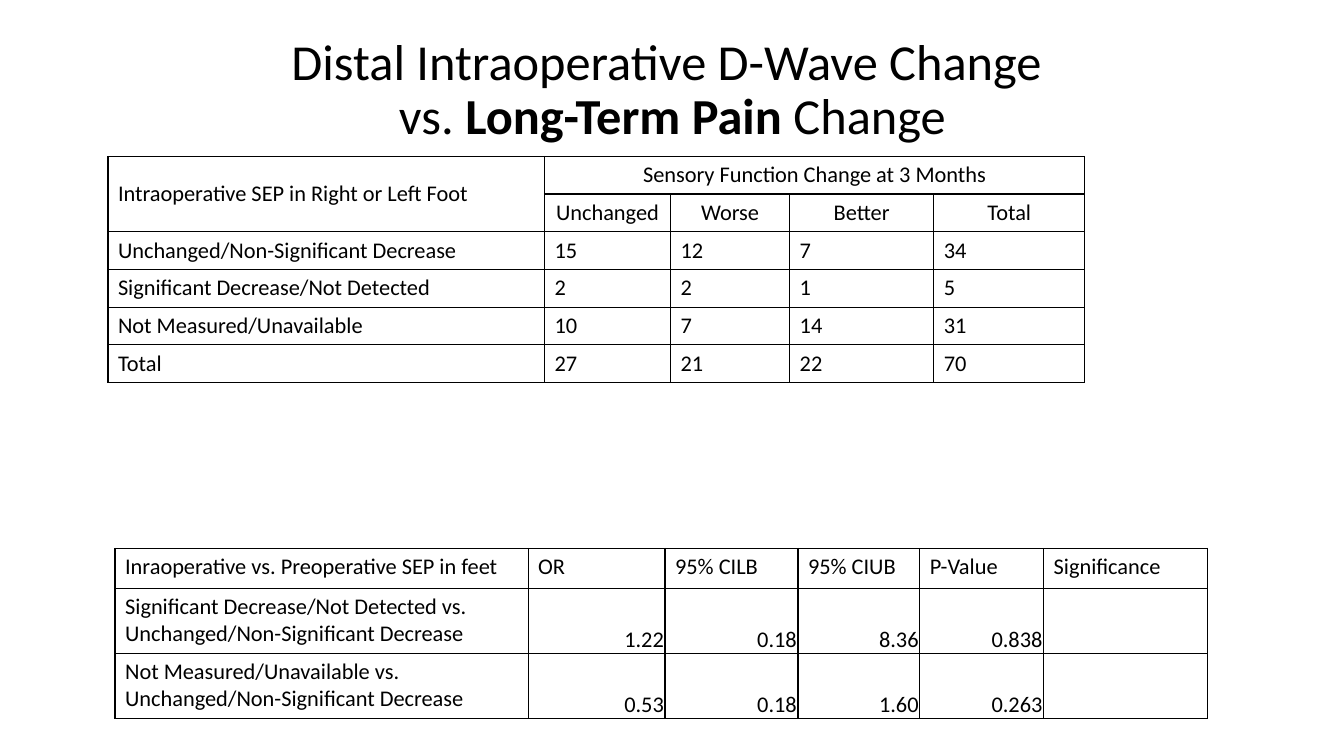
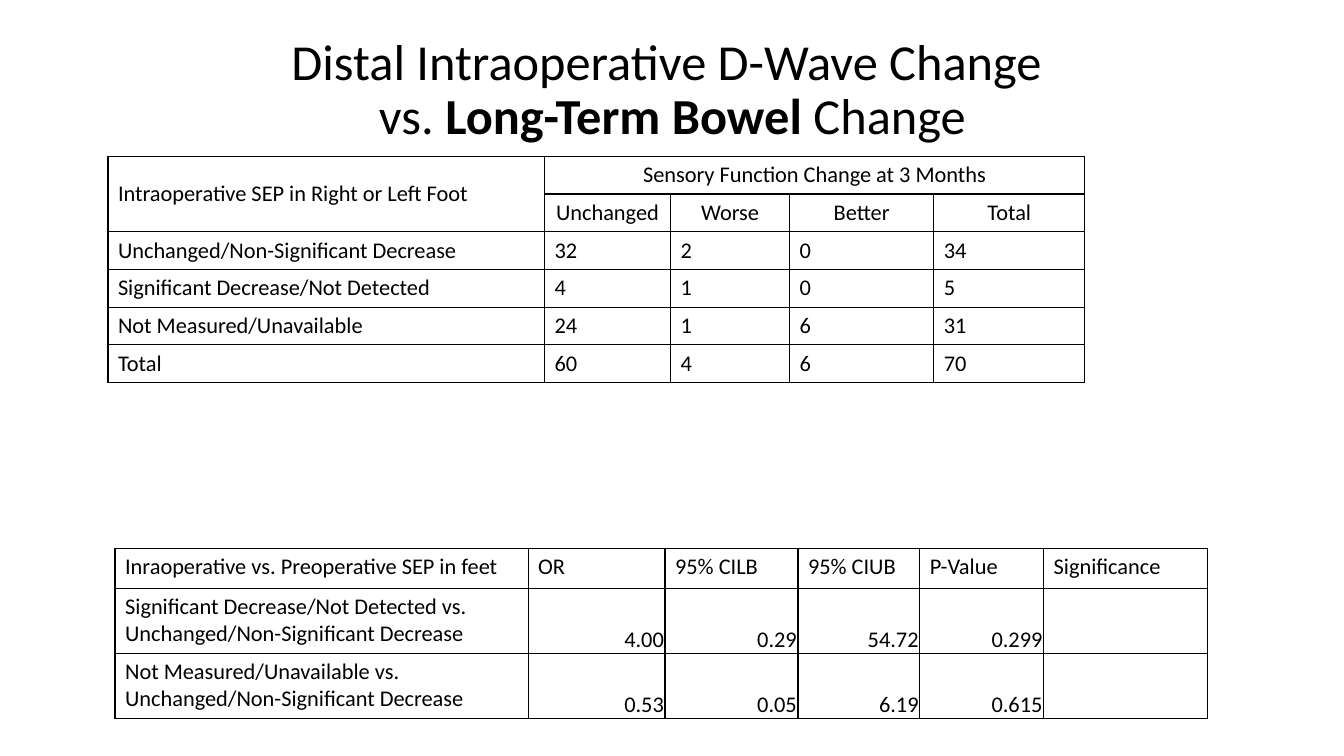
from lxml import etree
from pptx import Presentation
from pptx.dml.color import RGBColor
from pptx.enum.text import MSO_ANCHOR, PP_ALIGN
from pptx.oxml.ns import qn
from pptx.util import Cm, Pt

LEFT, CENTER, RIGHT = PP_ALIGN.LEFT, PP_ALIGN.CENTER, PP_ALIGN.RIGHT
TOP, MIDDLE, BOTTOM = MSO_ANCHOR.TOP, MSO_ANCHOR.MIDDLE, MSO_ANCHOR.BOTTOM
BLANK_LAYOUT = 6


class Theme:
    font = "Calibri"
    ink = RGBColor(0, 0, 0)
    title_size = Pt(36)
    cell_size = Pt(16)
    border_width = Pt(1)
    title_spacing = 0.9


HEADING = {"alignment": CENTER, "anchor": TOP}
SPANNING = {"alignment": CENTER, "anchor": MIDDLE}
LABEL = {"alignment": LEFT, "anchor": TOP}
ROW_SPANNING = {"alignment": LEFT, "anchor": MIDDLE}
ESTIMATE = {
    "alignment": RIGHT,
    "anchor": BOTTOM,
    "margin_left": Cm(0.03),
    "margin_top": Cm(0.03),
    "margin_right": Cm(0.03),
    "margin_bottom": Cm(0),
}

UNCHANGED = "Unchanged/Non-Significant Decrease"
DECREASED = "Significant Decrease/Not Detected"
UNMEASURED = "Not Measured/Unavailable"
OUTCOMES = ("Unchanged", "Worse", "Better", "Total")
ESTIMATE_HEADINGS = ("Inraoperative vs. Preoperative SEP in feet", "OR",
                     "95% CILB", "95% CIUB", "P-Value", "Significance")

COUNT_FRAME = {
    "left": 2.72,
    "top": 3.94,
    "widths": (11, 3.18, 3, 3.63, 3.81),
    "heights": (0.95,) * 6,
}
ESTIMATE_FRAME = {
    "left": 2.9,
    "top": 13.82,
    "widths": (10.41, 3.45, 3.35, 3.07, 3.12, 4.14),
    "heights": (1, 1.64, 1.64),
}

RESULTS = (
    {
        "measure": "Long-Term Pain",
        "counts": ((15, 12, 7), (2, 2, 1), (10, 7, 14)),
        "estimates": (("1.22", "0.18", "8.36", "0.838"),
                      ("0.53", "0.18", "1.60", "0.263")),
    },
    {
        "measure": "Long-Term Bowel",
        "counts": ((32, 2, 0), (4, 1, 0), (24, 1, 6)),
        "estimates": (("4.00", "0.29", "54.72", "0.299"),
                      ("0.53", "0.05", "6.19", "0.615")),
    },
)


def apply_format(target, values):
    for name, value in values.items():
        setattr(target, name, value)


class Deck:
    def __init__(self, theme):
        self.theme = theme
        self.presentation = Presentation()
        apply_format(self.presentation, {"slide_width": Cm(33.87), "slide_height": Cm(19.05)})
        self.page = None

    def add_page(self):
        layout = self.presentation.slide_layouts[BLANK_LAYOUT]
        self.page = self.presentation.slides.add_slide(layout)

    def add_span(self, para, text, size, bold=False):
        span = para.add_run()
        span.text = text
        apply_format(span.font, {"name": self.theme.font, "size": size, "bold": bold})
        span.font.color.rgb = self.theme.ink

    def add_title(self, measure):
        box = self.page.shapes.add_textbox(Cm(2.34), Cm(0.74), Cm(29.21), Cm(3.12))
        apply_format(box.text_frame, {"word_wrap": True, "vertical_anchor": MIDDLE})
        para = box.text_frame.paragraphs[0]
        apply_format(para, {"alignment": CENTER, "line_spacing": self.theme.title_spacing})
        size = self.theme.title_size
        self.add_span(para, "Distal Intraoperative D-Wave Change ", size)
        para.add_line_break()
        self.add_span(para, "vs. ", size)
        self.add_span(para, f"{measure} ", size, bold=True)
        self.add_span(para, "Change", size)

    def add_borders(self, cell):
        properties = cell._tc.get_or_add_tcPr()
        for side in ("lnL", "lnR", "lnT", "lnB"):
            line = etree.SubElement(properties, qn(f"a:{side}"), w=str(self.theme.border_width))
            fill = etree.SubElement(line, qn("a:solidFill"))
            etree.SubElement(fill, qn("a:srgbClr"), val=str(self.theme.ink))

    def fill_cell(self, cell, text, style):
        values = dict(style)
        para = cell.text_frame.paragraphs[0]
        para.alignment = values.pop("alignment")
        self.add_span(para, text, self.theme.cell_size)
        apply_format(cell, {"vertical_anchor": values.pop("anchor"), **values})
        self.add_borders(cell)
        cell.fill.background()

    def add_table(self, rows, style_for, left, top, widths, heights):
        frame = self.page.shapes.add_table(
            len(heights), len(widths), Cm(left), Cm(top), Cm(sum(widths)), Cm(sum(heights)))
        table = frame.table
        apply_format(table, {"first_row": False, "horz_banding": False})
        for column, width in zip(table.columns, widths):
            column.width = Cm(width)
        for row, height in zip(table.rows, heights):
            row.height = Cm(height)
        for row_index, row in enumerate(rows):
            for column_index, text in enumerate(row):
                style = style_for(row_index, column_index)
                self.fill_cell(table.cell(row_index, column_index), str(text), style)
        return table

    def add_count_table(self, counts):
        def style_for(row, column):
            if row > 1:
                return LABEL
            if column == 0:
                return ROW_SPANNING
            return SPANNING if row == 0 else HEADING

        lines = [*counts, [sum(column) for column in zip(*counts)]]
        labels = (UNCHANGED, DECREASED, UNMEASURED, "Total")
        rows = [
            ("Intraoperative SEP in Right or Left Foot",
             "Sensory Function Change at 3 Months", "", "", ""),
            ("", *OUTCOMES),
            *((label, *line, sum(line)) for label, line in zip(labels, lines)),
        ]
        table = self.add_table(rows, style_for, **COUNT_FRAME)
        table.cell(0, 0).merge(table.cell(1, 0))
        table.cell(0, 1).merge(table.cell(0, 4))

    def add_estimate_table(self, estimates):
        def style_for(row, column):
            return ESTIMATE if row > 0 and 0 < column < 5 else LABEL

        rows = [
            ESTIMATE_HEADINGS,
            *((f"{group} vs. {UNCHANGED}", *values, "")
              for group, values in zip((DECREASED, UNMEASURED), estimates)),
        ]
        self.add_table(rows, style_for, **ESTIMATE_FRAME)


def main():
    deck = Deck(Theme())
    for result in RESULTS:
        deck.add_page()
        deck.add_title(result["measure"])
        deck.add_count_table(result["counts"])
        deck.add_estimate_table(result["estimates"])
    deck.presentation.save("out.pptx")


if __name__ == "__main__":
    main()
